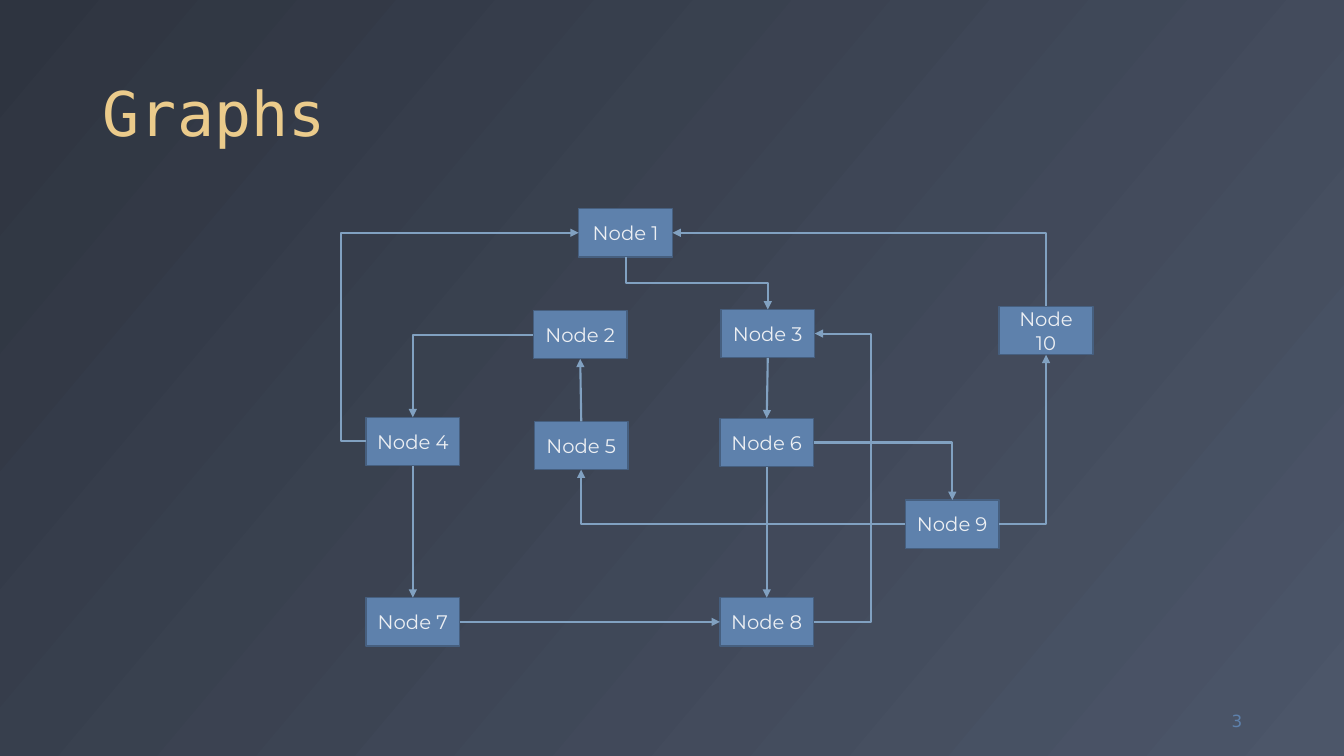
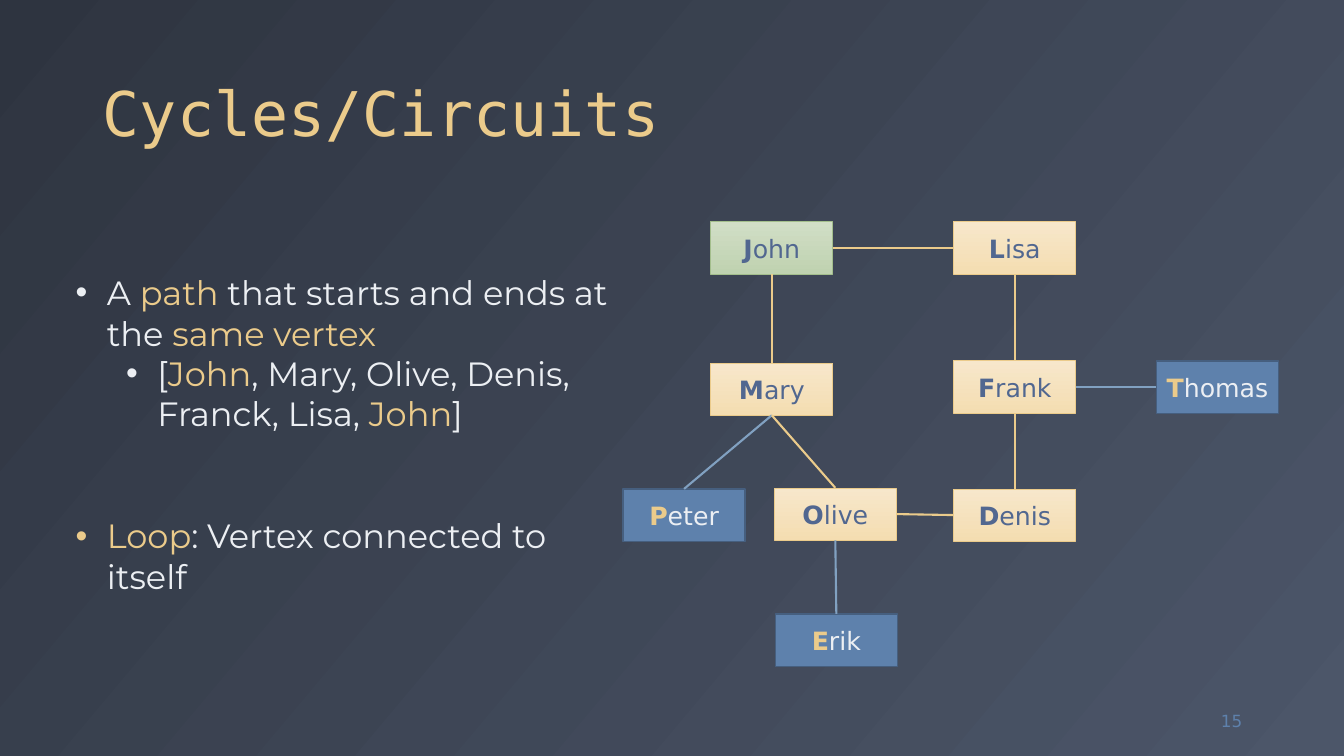
from dataclasses import dataclass
from typing import Optional

from lxml.etree import SubElement
from pptx import Presentation
from pptx.dml.color import RGBColor
from pptx.dml.fill import FillFormat
from pptx.enum.shapes import MSO_CONNECTOR, MSO_SHAPE
from pptx.enum.text import MSO_ANCHOR, MSO_AUTO_SIZE, PP_ALIGN
from pptx.oxml.ns import qn
from pptx.presentation import Presentation as Deck
from pptx.shapes.autoshape import Shape
from pptx.shapes.connector import Connector
from pptx.slide import Slide
from pptx.util import Inches, Pt

NIGHT = RGBColor(0x2E, 0x34, 0x40)
SLATE = RGBColor(0x4C, 0x56, 0x69)
SNOW = RGBColor(0xEC, 0xEF, 0xF3)
GOLD = RGBColor(0xEB, 0xCB, 0x8B)
BLUE = RGBColor(0x5E, 0x81, 0xAC)
DARK_BLUE = RGBColor(0x46, 0x5F, 0x7F)
LIGHT_BLUE = RGBColor(0x81, 0xA1, 0xC1)
INK = RGBColor(0x51, 0x67, 0x90)
CREAM = RGBColor(0xF7, 0xE7, 0xCB)
SAND = RGBColor(0xF4, 0xDD, 0xB1)
PALE_GREEN = RGBColor(0xD1, 0xDE, 0xC6)
SOFT_GREEN = RGBColor(0xBF, 0xD2, 0xB0)
GREEN = RGBColor(0xA3, 0xBE, 0x8C)

SANS = "DejaVu Sans"
MONO = "DejaVu Sans Mono"
BODY_FONT = "Montserrat"

TOP, LEFT, BOTTOM, RIGHT = range(4)  # connection sites of a rectangle
TITLE_ONLY, TITLE_AND_BODY = 5, 1


@dataclass(frozen=True)
class BoxStyle:
    fill: tuple[RGBColor, ...]
    line: RGBColor
    line_width: float
    initial: RGBColor
    text: RGBColor


@dataclass(frozen=True)
class Node:
    name: str
    left: float
    top: float


@dataclass(frozen=True)
class Person(Node):
    style: BoxStyle


@dataclass(frozen=True)
class Edge:
    source: str
    source_side: int
    target: str
    target_side: int
    color: RGBColor = LIGHT_BLUE
    preset: Optional[str] = None
    bend: Optional[float] = None  # distance from the start to the middle leg
    arrow: Optional[str] = None


PLAIN = BoxStyle((BLUE,), DARK_BLUE, 1, GOLD, SNOW)
CYCLE = BoxStyle((CREAM, SAND), GOLD, 0.5, INK, INK)
START = BoxStyle((PALE_GREEN, SOFT_GREEN), GREEN, 0.5, INK, INK)

NODES = [
    Node("1", 5.74, 2.07), Node("2", 5.29, 3.08), Node("3", 7.15, 3.07),
    Node("4", 3.63, 4.14), Node("5", 5.3, 4.18), Node("6", 7.14, 4.15),
    Node("7", 3.63, 5.93), Node("8", 7.14, 5.93), Node("9", 8.98, 4.96),
    Node("10", 9.91, 3.04),
]
CORNER, STEP = "bentConnector2", "bentConnector3"
FORWARD, BACKWARD = "a:tailEnd", "a:headEnd"
NODE_EDGES = [
    Edge("4", LEFT, "1", LEFT, preset=STEP, bend=-0.25, arrow=FORWARD),
    Edge("1", BOTTOM, "3", TOP, preset=STEP, arrow=FORWARD),
    Edge("3", BOTTOM, "6", TOP, arrow=FORWARD),
    Edge("2", LEFT, "4", TOP, preset=CORNER, arrow=FORWARD),
    Edge("5", TOP, "2", BOTTOM, arrow=FORWARD),
    Edge("6", BOTTOM, "8", TOP, arrow=FORWARD),
    Edge("6", RIGHT, "9", TOP, preset=CORNER, arrow=FORWARD),
    Edge("9", RIGHT, "10", BOTTOM, preset=CORNER, arrow=FORWARD),
    Edge("4", BOTTOM, "7", TOP, arrow=FORWARD),
    Edge("7", RIGHT, "8", LEFT, arrow=FORWARD),
    Edge("8", RIGHT, "3", RIGHT, preset=STEP, bend=0.58, arrow=FORWARD),
    Edge("9", LEFT, "5", BOTTOM, preset=CORNER, arrow=FORWARD),
    Edge("1", RIGHT, "10", TOP, preset=CORNER, arrow=BACKWARD),
]
PEOPLE = [
    Person("John", 7.05, 2.2, START), Person("Lisa", 9.46, 2.2, CYCLE),
    Person("Mary", 7.05, 3.6, CYCLE), Person("Frank", 9.46, 3.58, CYCLE),
    Person("Thomas", 11.47, 3.58, PLAIN), Person("Peter", 6.18, 4.85, PLAIN),
    Person("Olive", 7.68, 4.84, CYCLE), Person("Denis", 9.46, 4.85, CYCLE),
    Person("Erik", 7.69, 6.09, PLAIN),
]
PEOPLE_EDGES = [
    Edge("Mary", BOTTOM, "Peter", TOP),
    Edge("Olive", BOTTOM, "Erik", TOP),
    Edge("Frank", RIGHT, "Thomas", LEFT),
    Edge("John", RIGHT, "Lisa", LEFT, GOLD),
    Edge("John", BOTTOM, "Mary", TOP, GOLD),
    Edge("Mary", BOTTOM, "Olive", TOP, GOLD),
    Edge("Olive", RIGHT, "Denis", LEFT, GOLD),
    Edge("Denis", TOP, "Frank", BOTTOM, GOLD),
    Edge("Frank", TOP, "Lisa", BOTTOM, GOLD),
]
# level, space before in points, spans of text and colour
BULLETS = [
    (0, 0, [("A ", SNOW), ("path", GOLD), (" that starts and ends at the ", SNOW),
            ("same vertex", GOLD)]),
    (1, 0, [("[", SNOW), ("John", GOLD), (", Mary, Olive, Denis, Franck, Lisa, ", SNOW),
            ("John", GOLD), ("]", SNOW)]),
    (0, 58.5, [("Loop", GOLD), (": Vertex connected to itself", SNOW)]),
]


def add_span(para, text: str, *, size: float, color: RGBColor,
             font: str = SANS, bold: bool = False) -> None:
    span = para.add_run()
    span.text = text
    span.font.size = Pt(size)
    span.font.name = font
    span.font.bold = bold
    span.font.color.rgb = color


def place(shape: Shape, left: float, top: float, width: float, height: float) -> None:
    shape.left, shape.top = Inches(left), Inches(top)
    shape.width, shape.height = Inches(width), Inches(height)


def paint(fill: FillFormat, colors: tuple[RGBColor, ...], angle: float = 90) -> None:
    """Fill solid, or with a two-colour gradient turned clockwise by angle."""
    if len(colors) == 1:
        fill.solid()
        fill.fore_color.rgb = colors[0]
        return
    fill.gradient()
    fill.gradient_angle = 360 - angle
    for stop, color in zip(fill.gradient_stops, colors):
        stop.color.rgb = color


def add_page(deck: Deck, layout: int, title: str, number: str) -> Slide:
    page = deck.slides.add_slide(deck.slide_layouts[layout])
    heading = page.shapes.title
    place(heading, 0.92, 0.18, 11.5, 1.36)
    frame = heading.text_frame
    frame.auto_size = MSO_AUTO_SIZE.NONE
    frame.vertical_anchor = MSO_ANCHOR.BOTTOM
    para = frame.paragraphs[0]
    para.alignment = PP_ALIGN.LEFT
    para.line_spacing = 0.9
    add_span(para, title, size=44, color=GOLD, font=MONO)

    box = page.shapes.add_textbox(Inches(11.59), Inches(6.95), Inches(0.83), Inches(0.4))
    box.text_frame.word_wrap = True
    box.text_frame.vertical_anchor = MSO_ANCHOR.MIDDLE
    para = box.text_frame.paragraphs[0]
    para.alignment = PP_ALIGN.RIGHT
    add_span(para, number, size=12, color=BLUE)
    return page


def add_box(page: Slide, node: Node, width: float, height: float, style: BoxStyle) -> Shape:
    box = page.shapes.add_shape(MSO_SHAPE.RECTANGLE, Inches(node.left), Inches(node.top),
                                Inches(width), Inches(height))
    box.shadow.inherit = False
    paint(box.fill, style.fill)
    box.line.color.rgb = style.line
    box.line.width = Pt(style.line_width)
    box.text_frame.word_wrap = True
    box.text_frame.vertical_anchor = MSO_ANCHOR.MIDDLE
    box.text_frame.paragraphs[0].alignment = PP_ALIGN.CENTER
    return box


def bend_connector(connector: Connector, edge: Edge) -> None:
    """Set the elbow preset, its middle leg, and a quarter turn if it starts downwards."""
    properties = connector._element.spPr
    geometry = properties.find(qn("a:prstGeom"))
    geometry.set("prst", edge.preset)
    if edge.bend is not None:
        ratio = Inches(edge.bend) / connector.width
        guides = geometry.find(qn("a:avLst"))
        SubElement(guides, qn("a:gd"), name="adj1", fmla=f"val {round(ratio * 100000)}")
    if edge.source_side == BOTTOM:
        width, height = connector.width, connector.height
        shift = (width - height) // 2
        connector.left, connector.top = connector.left + shift, connector.top - shift
        connector.width, connector.height = height, width
        frame = properties.find(qn("a:xfrm"))
        frame.set("rot", str(270 * 60000))
        frame.set("flipH", "1")


def add_edge(page: Slide, boxes: dict[str, Shape], edge: Edge) -> None:
    kind = MSO_CONNECTOR.ELBOW if edge.preset else MSO_CONNECTOR.STRAIGHT
    connector = page.shapes.add_connector(kind, 0, 0, 0, 0)
    connector.begin_connect(boxes[edge.source], edge.source_side)
    connector.end_connect(boxes[edge.target], edge.target_side)
    if edge.preset:
        bend_connector(connector, edge)
    connector.line.color.rgb = edge.color
    connector.line.width = Pt(1.5)
    if edge.arrow:
        SubElement(connector.line._get_or_add_ln(), qn(edge.arrow), type="triangle")
    SubElement(connector._element.spPr, qn("a:effectLst"))


def add_bullets(page: Slide) -> None:
    body = page.placeholders[1]
    place(body, 0.65, 2.65, 5.62, 3.64)
    frame = body.text_frame
    frame.auto_size = MSO_AUTO_SIZE.NONE
    frame.vertical_anchor = MSO_ANCHOR.TOP
    for index, (level, space_before, spans) in enumerate(BULLETS):
        para = frame.add_paragraph() if index else frame.paragraphs[0]
        properties = para._p.get_or_add_pPr()
        properties.set("marL", str(Inches(0.31 + 0.5 * level)))
        properties.set("indent", str(-Inches(0.31)))
        SubElement(properties, qn("a:buFont"), typeface="Arial")
        SubElement(properties, qn("a:buChar"), char="•")
        para.level = level
        para.alignment = PP_ALIGN.LEFT
        para.space_before = Pt(space_before)
        for text, color in spans:
            add_span(para, text, size=24, color=color, font=BODY_FONT)


def build_graph_page(deck: Deck) -> None:
    page = add_page(deck, TITLE_ONLY, "Graphs", "3")
    boxes = {}
    for node in NODES:
        box = boxes[node.name] = add_box(page, node, 0.93, 0.48, PLAIN)
        add_span(box.text_frame.paragraphs[0], f"Node {node.name}",
                 size=14, color=SNOW, font=BODY_FONT)
    for edge in NODE_EDGES:
        add_edge(page, boxes, edge)


def build_cycle_page(deck: Deck) -> None:
    page = add_page(deck, TITLE_AND_BODY, "Cycles/Circuits", "15")
    add_bullets(page)
    boxes = {}
    for person in PEOPLE:
        style = person.style
        box = boxes[person.name] = add_box(page, person, 1.21, 0.52, style)
        para = box.text_frame.paragraphs[0]
        add_span(para, person.name[0], size=18, color=style.initial, bold=True)
        add_span(para, person.name[1:], size=18, color=style.text)
    for edge in PEOPLE_EDGES:
        add_edge(page, boxes, edge)


def main() -> None:
    deck = Presentation()
    deck.slide_width, deck.slide_height = Inches(13.33), Inches(7.5)
    paint(deck.slide_master.background.fill, (NIGHT, SLATE), angle=40)
    build_graph_page(deck)
    build_cycle_page(deck)
    deck.save("out.pptx")


if __name__ == "__main__":
    main()
